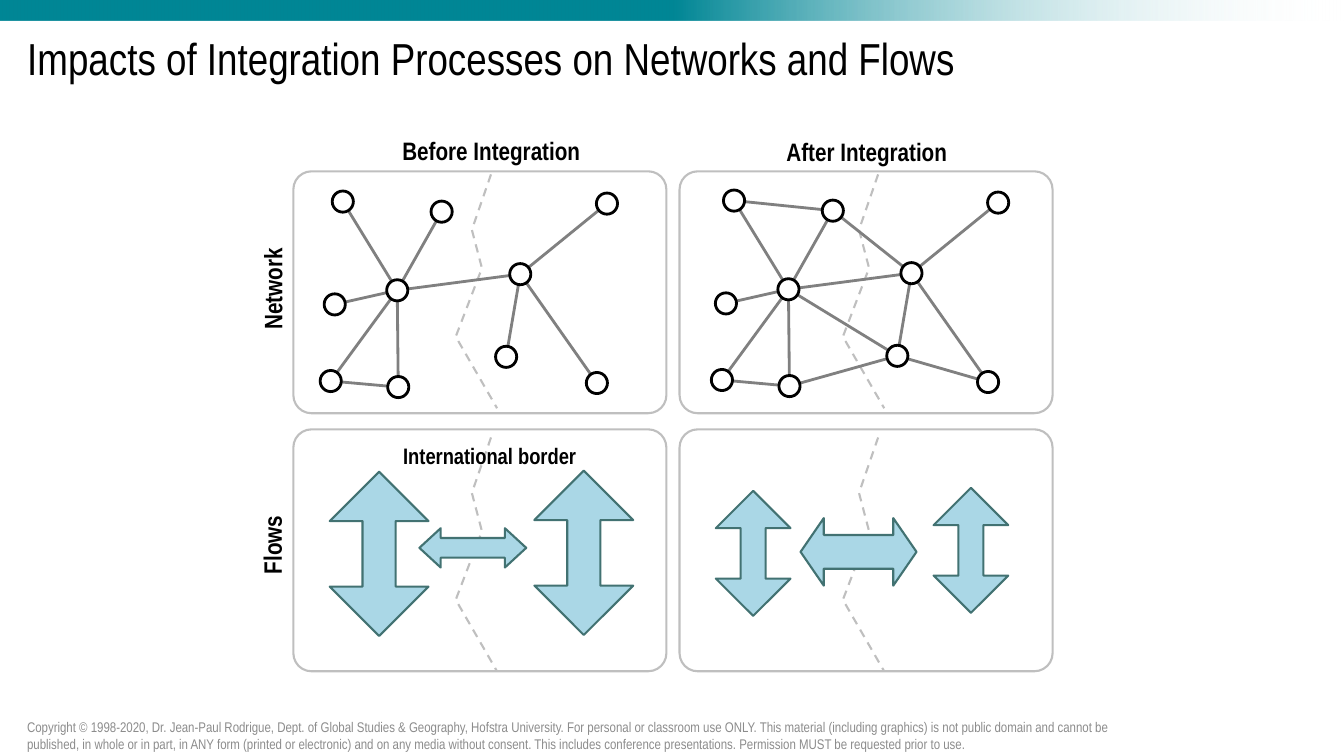
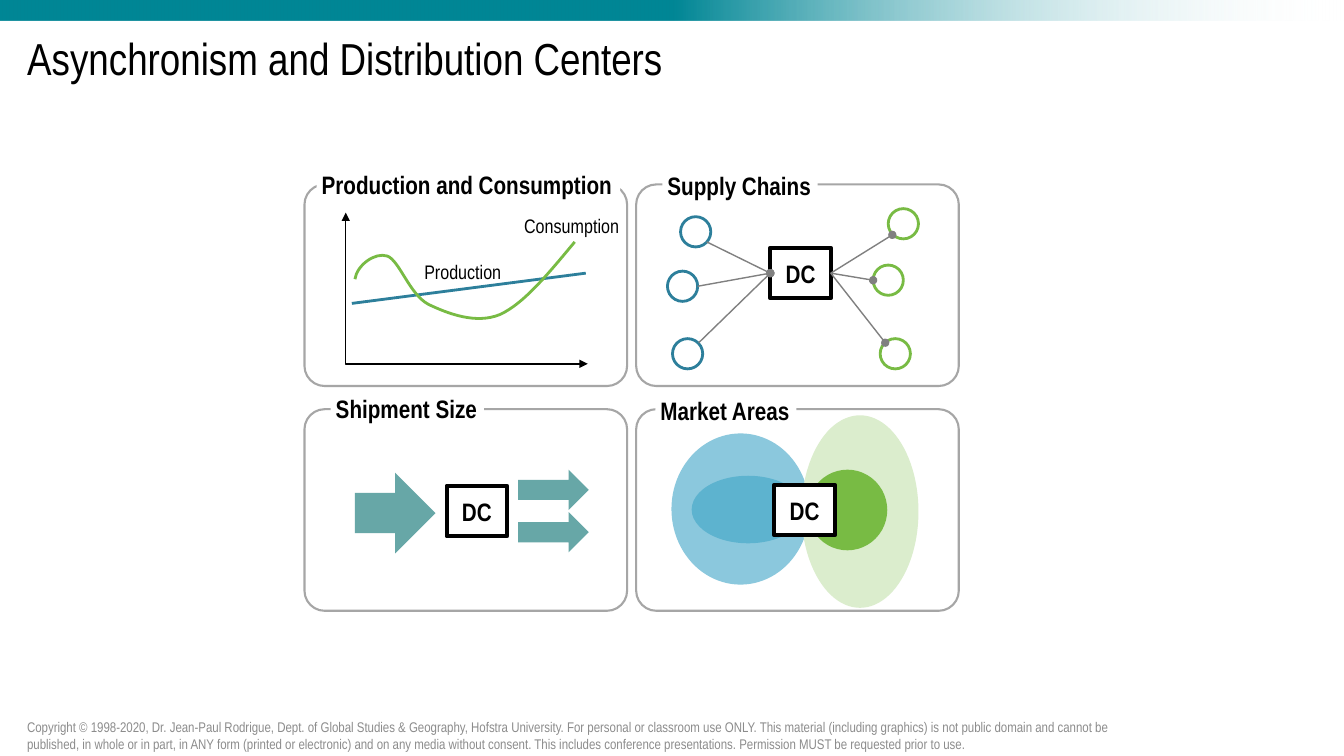
"""Build two slides on network integration and distribution centers."""
import pptx
import pptx.util
import pptx.dml.color
import pptx.enum.dml
import pptx.enum.shapes
import pptx.enum.text
import pptx.oxml.ns
import pptx.shapes.connector
from lxml import etree

PX = 9144
RGB = pptx.dml.color.RGBColor
BLACK = RGB(0x00, 0x00, 0x00)
WHITE = RGB(0xFF, 0xFF, 0xFF)
TEAL = RGB(0x00, 0x86, 0x95)
FOOTER_GREY = RGB(0x8C, 0x8C, 0x8C)
LINK_GREY = RGB(0x80, 0x80, 0x80)
PALE_GREY = RGB(0xBF, 0xBF, 0xBF)
PANEL_GREY = RGB(0xA6, 0xA6, 0xA6)
FLOW_BLUE = RGB(0xAA, 0xD7, 0xE6)
FLOW_EDGE = RGB(0x42, 0x72, 0x72)
SHIPMENT_TEAL = RGB(0x67, 0xA7, 0xA7)
BLUE = RGB(0x2D, 0x7F, 0x9B)
GREEN = RGB(0x78, 0xBB, 0x44)
OUTER_BLUE = RGB(0x8B, 0xC8, 0xDD)
INNER_BLUE = RGB(0x5D, 0xB3, 0xCF)
PALE_GREEN = RGB(0xDB, 0xED, 0xCD)

SHAPE = pptx.enum.shapes.MSO_SHAPE
STRAIGHT = pptx.enum.shapes.MSO_CONNECTOR.STRAIGHT
DASH = pptx.enum.dml.MSO_LINE.DASH
ALIGN = pptx.enum.text.PP_ALIGN
ANCHOR = pptx.enum.text.MSO_ANCHOR
FIT = pptx.enum.text.MSO_AUTO_SIZE
qn = pptx.oxml.ns.qn

TITLES = ["Impacts of Integration Processes on Networks and Flows",
          "Asynchronism and Distribution Centers"]
COPYRIGHT = (
    "Copyright © 1998-2020, Dr. Jean-Paul Rodrigue, Dept. of Global Studies & Geography, "
    "Hofstra University. For personal or classroom use ONLY. This material (including graphics) "
    "is not public domain and cannot be published, in whole or in part, in ANY form (printed or "
    "electronic) and on any media without consent. This includes conference presentations. "
    "Permission MUST be requested prior to use.")


def paint(item, fill=None, line=None, weight=1.5, **ends):
    if line is None:
        item.line.fill.background()
    else:
        item.line.color.rgb = line
        item.line.width = pptx.util.Pt(weight)
    for end, kind in ends.items():
        etree.SubElement(item.line._get_or_add_ln(), qn(f"a:{end}"), type=kind)
    if isinstance(item, pptx.shapes.connector.Connector):
        etree.SubElement(item._element.spPr, qn("a:effectLst"))
        return
    item.shadow.inherit = False
    if fill is None:
        item.fill.background()
    else:
        item.fill.solid()
        item.fill.fore_color.rgb = fill


def write(box, text, size, bold=False, colour=BLACK, side=0, edge=0,
          align=ALIGN.LEFT, anchor=ANCHOR.TOP, wrap=False):
    frame = box.text_frame
    frame_format = {
        "margin_left": side * PX, "margin_right": side * PX,
        "margin_top": edge * PX, "margin_bottom": edge * PX,
        "word_wrap": wrap, "vertical_anchor": anchor,
        "auto_size": FIT.NONE if wrap else FIT.SHAPE_TO_FIT_TEXT}
    for name, value in frame_format.items():
        setattr(frame, name, value)
    para = frame.paragraphs[0]
    para.alignment = align
    span = para.add_run()
    span.text = text
    font_format = {"name": "Arial Narrow", "size": pptx.util.Pt(size), "bold": bold}
    for name, value in font_format.items():
        setattr(span.font, name, value)
    span.font.color.rgb = colour


deck = pptx.Presentation()
deck.slide_width, deck.slide_height = 1333 * PX, 750 * PX
layout = deck.slide_layouts[5]
title_place = {"left": 17 * PX, "top": 20 * PX, "width": 1300 * PX, "height": 80 * PX}
for name, value in title_place.items():
    setattr(layout.placeholders[0], name, value)

pages = []
for title in TITLES:
    page = deck.slides.add_slide(layout)
    write(page.shapes.title, title, 32, side=10, edge=5, anchor=ANCHOR.MIDDLE, wrap=True)
    page.shapes.title.text_frame.paragraphs[0].line_spacing = 0.9
    footer = page.shapes.add_textbox(17 * PX, 710 * PX, 1095 * PX, 40 * PX)
    write(footer, COPYRIGHT, 10, colour=FOOTER_GREY, side=10, edge=5,
          anchor=ANCHOR.MIDDLE, wrap=True)
    pages.append(page)
integration, distribution = pages

band = integration.shapes.add_shape(SHAPE.RECTANGLE, 0, 0, deck.slide_width, 20 * PX)
paint(band)
band.fill.gradient()
band.fill.gradient_angle = 0
for stop, position, colour in zip(band.fill.gradient_stops, (0.5, 1), (TEAL, WHITE)):
    stop.position = position
    stop.color.rgb = colour
clear_end = band._element.spPr.findall(f".//{qn('a:srgbClr')}")[-1]
etree.SubElement(clear_end, qn("a:alpha"), val="0")
deck.slide_master.shapes._spTree.insert(2, band._element)

shapes = integration.shapes
for text, left, top, width, turn in [
        ("Network", 229, 271, 82, 270), ("Flows", 240, 525, 59, 270),
        ("Before Integration", 399, 134, 178, 0), ("After Integration", 780, 135, 161, 0)]:
    label = shapes.add_textbox(left * PX, top * PX, width * PX, 30 * PX)
    label.rotation = turn
    write(label, text, 18, bold=True)

BORDER = [(487, 173), (468, 228), (478, 266), (452, 334), (493, 405)]
for column in range(2):
    for row in range(2):
        points = [(x + 384 * column, y + 261 * row) for x, y in BORDER]
        builder = shapes.build_freeform(*points[0], scale=PX)
        builder.add_line_segments(points[1:], close=False)
        border = builder.convert_to_shape()
        paint(border, line=PALE_GREY)
        border.line.dash_style = DASH
        panel = shapes.add_shape(SHAPE.ROUNDED_RECTANGLE, (291 + 383 * column) * PX,
                                 (170 + 256 * row) * PX, 370 * PX, 240 * PX)
        panel.adjustments[0] = 0.075
        paint(panel, line=PALE_GREY)

NODES = {"west hub": (394, 288), "north": (438, 210), "northwest": (340, 200),
         "west": (332, 302), "south": (395, 384), "southwest": (328, 378),
         "east hub": (516, 272), "northeast": (602, 202), "southeast": (592, 380),
         "center": (502, 354)}
LINKS_BEFORE = [
    ("west hub", "north"), ("west hub", "northwest"), ("west hub", "west"),
    ("west hub", "south"), ("west hub", "southwest"), ("south", "southwest"),
    ("east hub", "west hub"), ("east hub", "northeast"), ("east hub", "southeast"),
    ("east hub", "center")]
LINKS_ADDED = [("center", "west hub"), ("east hub", "north"), ("center", "south"),
               ("southeast", "center"), ("north", "northwest")]
for shift, rise, links in [(0, 0, LINKS_BEFORE), (388, -1, LINKS_BEFORE + LINKS_ADDED)]:
    places = {name: ((x + shift) * PX, (y + rise) * PX) for name, (x, y) in NODES.items()}
    for start, end in links:
        link = shapes.add_connector(STRAIGHT, *places[start], *places[end])
        paint(link, line=LINK_GREY, weight=2)
    for x, y in places.values():
        node = shapes.add_shape(SHAPE.OVAL, x - 21 * PX // 2, y - 21 * PX // 2, 21 * PX, 21 * PX)
        paint(node, WHITE, BLACK, 2)

for kind, left, top, width, height, head in [
        (SHAPE.UP_DOWN_ARROW, 327, 468, 98, 163, 0.335),
        (SHAPE.UP_DOWN_ARROW, 530, 467, 98, 163, 0.335),
        (SHAPE.LEFT_RIGHT_ARROW, 416, 524, 106, 39, 0.542),
        (SHAPE.UP_DOWN_ARROW, 710, 487, 74, 124, 0.335),
        (SHAPE.LEFT_RIGHT_ARROW, 794, 514, 115, 67, 0.344),
        (SHAPE.UP_DOWN_ARROW, 926, 484, 74, 124, 0.335)]:
    flow = shapes.add_shape(kind, left * PX, top * PX, width * PX, height * PX)
    flow.adjustments[0] = 0.5
    flow.adjustments[1] = head
    paint(flow, FLOW_BLUE, FLOW_EDGE)
border_label = shapes.add_textbox(390 * PX, 434 * PX, 199 * PX, 37 * PX)
write(border_label, "International border", 16, bold=True, side=10, edge=5)

shapes = distribution.shapes
for index, (text, left, top, width) in enumerate([
        ("Production and Consumption", 314, 168, 301), ("Supply Chains", 657, 169, 154),
        ("Shipment Size", 328, 390, 152), ("Market Areas", 650, 392, 140)]):
    row, column = divmod(index, 2)
    panel = shapes.add_shape(SHAPE.ROUNDED_RECTANGLE, (302 + 329 * column) * PX,
                             (183 + 223 * row) * PX, 320 * PX, 200 * PX)
    panel.adjustments[0] = 0.1
    paint(panel, WHITE, PANEL_GREY)
    heading = shapes.add_shape(SHAPE.RECTANGLE, left * PX, top * PX, width * PX, 30 * PX)
    paint(heading, WHITE)
    write(heading, text, 18, bold=True, side=5)

builder = shapes.build_freeform(343, 211, scale=PX)
builder.add_line_segments([(343, 361), (583, 361)], close=False)
paint(builder.convert_to_shape(), line=BLACK, weight=1, headEnd="triangle", tailEnd="triangle")
production = shapes.add_connector(STRAIGHT, 349 * PX, 301 * PX, 581 * PX, 271 * PX)
paint(production, line=BLUE, weight=2)

builder = shapes.build_freeform(352, 277, scale=PX)
builder.add_line_segments([
    (354, 263), (372, 250), (384, 254), (396, 258), (406, 292), (425, 302),
    (444, 311), (472, 322), (496, 312), (520, 301), (545, 270), (570, 240)], close=False)
consumption = builder.convert_to_shape()
outline = consumption._element.find(f".//{qn('a:path')}")
segments = outline.findall(qn("a:lnTo"))
for first in range(0, len(segments), 3):
    curve = etree.SubElement(outline, qn("a:cubicBezTo"))
    for segment in segments[first:first + 3]:
        curve.append(segment[0])
        outline.remove(segment)
paint(consumption, line=GREEN, weight=2)

for text, left, top, width in [("Consumption", 510, 207, 115), ("Production", 411, 253, 97)]:
    label = shapes.add_textbox(left * PX, top * PX, width * PX, 34 * PX)
    write(label, text, 14, side=10, edge=5)

for kind, left, top, width, height, colour in [
        (SHAPE.RIGHT_ARROW, 352, 469, 80, 80, SHIPMENT_TEAL),
        (SHAPE.RIGHT_ARROW, 514, 466, 70, 40, SHIPMENT_TEAL),
        (SHAPE.RIGHT_ARROW, 514, 508, 70, 40, SHIPMENT_TEAL),
        (SHAPE.OVAL, 666, 430, 137, 150, OUTER_BLUE),
        (SHAPE.OVAL, 686, 472, 112, 67, INNER_BLUE),
        (SHAPE.OVAL, 795, 412, 116, 191, PALE_GREEN),
        (SHAPE.OVAL, 801, 466, 79, 80, GREEN)]:
    area = shapes.add_shape(kind, left * PX, top * PX, width * PX, height * PX)
    paint(area, colour)

for left, top in [(443, 482), (764, 246), (768, 481)]:
    center = shapes.add_shape(SHAPE.RECTANGLE, left * PX, top * PX, 60 * PX, 50 * PX)
    paint(center, WHITE, BLACK, 3)
    write(center, "DC", 18, bold=True, align=ALIGN.CENTER, anchor=ANCHOR.MIDDLE, wrap=True)

for left, top, colour in [(675, 215, BLUE), (662, 269, BLUE), (667, 336, BLUE),
                          (881, 207, GREEN), (866, 263, GREEN), (873, 336, GREEN)]:
    site = shapes.add_shape(SHAPE.OVAL, left * PX, top * PX, 30 * PX, 30 * PX)
    paint(site, WHITE, colour, 2)
for route in [(701, 240, 764, 271), (692, 284, 764, 271), (693, 340, 764, 271),
              (824, 271, 878, 340), (824, 271, 866, 278), (824, 271, 885, 233)]:
    link = shapes.add_connector(STRAIGHT, *[length * PX for length in route])
    paint(link, line=LINK_GREY, weight=1, tailEnd="oval")

deck.save("out.pptx")
